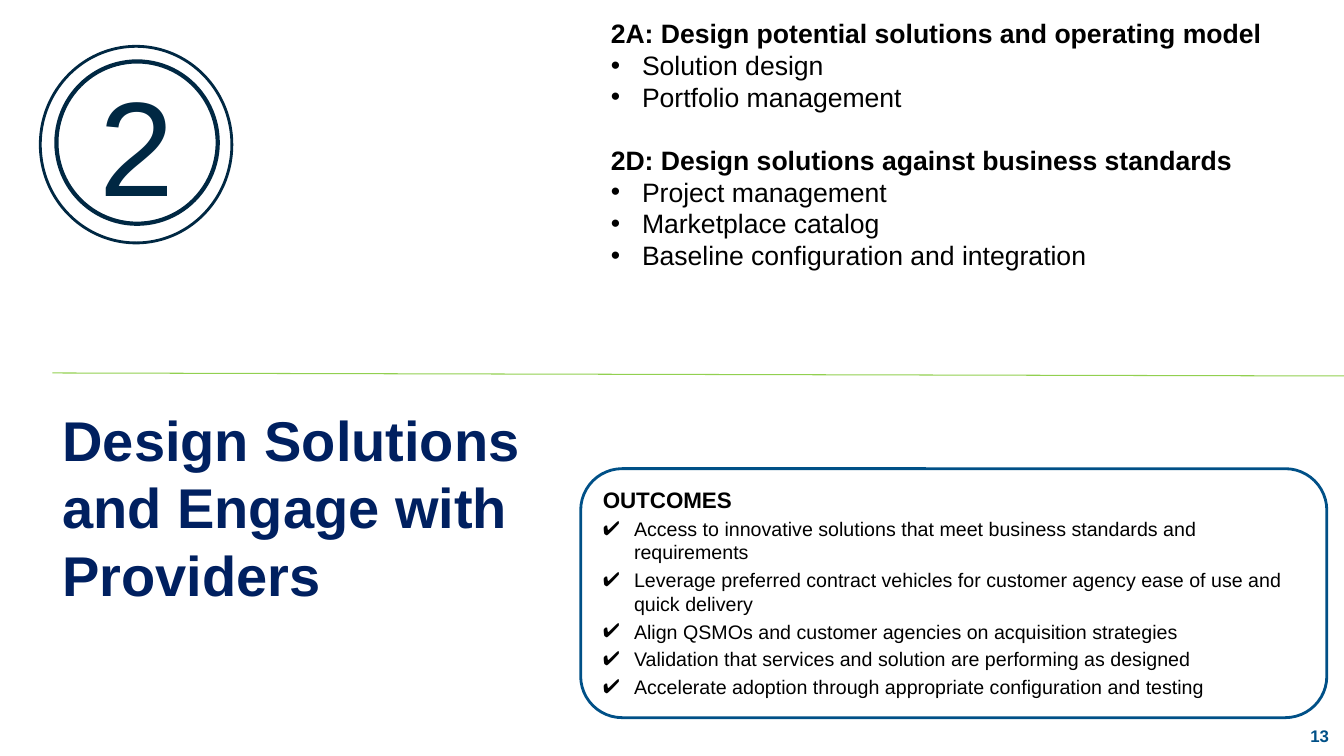
from dataclasses import dataclass

from lxml import etree
from pptx import Presentation
from pptx.dml.color import RGBColor
from pptx.enum.shapes import MSO_CONNECTOR, MSO_SHAPE
from pptx.enum.text import MSO_ANCHOR, MSO_AUTO_SIZE, PP_ALIGN
from pptx.oxml.ns import qn
from pptx.util import Pt

OVAL, ROUNDED = MSO_SHAPE.OVAL, MSO_SHAPE.ROUNDED_RECTANGLE
STRAIGHT = MSO_CONNECTOR.STRAIGHT
TOP, MIDDLE, BOTTOM = MSO_ANCHOR.TOP, MSO_ANCHOR.MIDDLE, MSO_ANCHOR.BOTTOM
LEFT, CENTER, RIGHT = PP_ALIGN.LEFT, PP_ALIGN.CENTER, PP_ALIGN.RIGHT
NO_FIT = MSO_AUTO_SIZE.NONE
EMU_PER_PX = 9144
TITLE_ONLY = 5


@dataclass(frozen=True)
class Theme:
    """Colours, font and type sizes of the slide."""
    font: str = "Arial"
    ink: str = "000000"
    paper: str = "FFFFFF"
    ring: str = "002843"
    title: str = "002060"
    accent: str = "005087"
    rule: str = "92D050"
    numeral_size: int = 96
    title_size: int = 40
    topic_size: int = 19
    heading_size: int = 16
    outcome_size: int = 14
    page_size: int = 12


ACTIVITIES = [
    ("2A: Design potential solutions and operating model",
     ["Solution design", "Portfolio management"]),
    ("2D: Design solutions against business standards",
     ["Project management", "Marketplace catalog",
      "Baseline configuration and integration"]),
]
OUTCOMES = [
    "Access to innovative solutions that meet business standards and requirements",
    "Leverage preferred contract vehicles for customer agency ease of use and quick delivery",
    "Align QSMOs and customer agencies on acquisition strategies",
    "Validation that services and solution are performing as designed",
    "Accelerate adoption through appropriate configuration and testing",
]


def px(length):
    """Turn px into EMU."""
    return length * EMU_PER_PX


def add_bullet(para, mark, color, indent=31):
    """Give a paragraph a hanging bullet."""
    properties = para._p.get_or_add_pPr()
    properties.set("marL", str(px(indent)))
    properties.set("indent", str(-px(indent)))
    tint = etree.SubElement(properties, qn("a:buClr"))
    etree.SubElement(tint, qn("a:srgbClr"), val=color)
    etree.SubElement(properties, qn("a:buFont"), typeface="Arial")
    etree.SubElement(properties, qn("a:buChar"), char=mark)


def write(frame, text, *, size, color, font, bold=False, align=LEFT,
          before=0, bullet=None):
    """Write one paragraph, filling the first one while it is empty."""
    first = frame.paragraphs[0]
    para = frame.add_paragraph() if first.runs else first
    para.alignment = align
    para.space_before = Pt(before)
    if bullet:
        add_bullet(para, bullet, color)
    span = para.add_run()
    span.text = text
    span.font.name = font
    span.font.size = Pt(size)
    span.font.bold = bold
    span.font.color.rgb = RGBColor.from_string(color)


class Page:
    """The current slide and its style."""

    def __init__(self, deck, theme):
        """Add a title-only slide to the deck."""
        self.theme = theme
        self.slide = deck.slides.add_slide(deck.slide_layouts[TITLE_ONLY])
        self.shapes = self.slide.shapes

    def frame(self, box, anchor, inset):
        """Prepare the text frame of a box."""
        frame = box.text_frame
        frame.word_wrap = True
        frame.auto_size = NO_FIT
        frame.vertical_anchor = anchor
        frame.margin_left = frame.margin_right = px(10)
        frame.margin_top = frame.margin_bottom = px(inset)
        return frame

    def title(self, text, left, top, width, height):
        """Place and fill the title."""
        box = self.shapes.title
        box.left, box.top, box.width, box.height = map(px, (left, top, width, height))
        write(self.frame(box, MIDDLE, 10), text, size=self.theme.title_size,
              color=self.theme.title, font=self.theme.font, bold=True)

    def text(self, left, top, width, height, anchor=TOP, inset=5):
        """Add a text box and return its frame."""
        box = self.shapes.add_textbox(*map(px, (left, top, width, height)))
        return self.frame(box, anchor, inset)

    def outline(self, kind, left, top, width, height, *, color, weight,
                fill=None, anchor=TOP):
        """Add an outlined shape and return its frame."""
        box = self.shapes.add_shape(kind, *map(px, (left, top, width, height)))
        box.shadow.inherit = False
        if fill:
            box.fill.solid()
            box.fill.fore_color.rgb = RGBColor.from_string(fill)
        else:
            box.fill.background()
        box.line.color.rgb = RGBColor.from_string(color)
        box.line.width = Pt(weight)
        return self.frame(box, anchor, 5)

    def rule(self, left, top, right, bottom, *, color, weight):
        """Add a straight line."""
        line = self.shapes.add_connector(STRAIGHT, *map(px, (left, top, right, bottom)))
        line.line.color.rgb = RGBColor.from_string(color)
        line.line.width = Pt(weight)
        etree.SubElement(line._element.spPr, qn("a:effectLst"))


def main():
    """Build the slide and save it."""
    theme = Theme()
    deck = Presentation()
    deck.slide_width, deck.slide_height = px(1333), px(750)
    page = Page(deck, theme)

    page.rule(52, 370, 1333, 373, color=theme.rule, weight=0.75)
    numeral = page.outline(OVAL, 56, 61, 160, 161, color=theme.ring, weight=3,
                           anchor=MIDDLE)
    write(numeral, "2", size=theme.numeral_size, color=theme.ring,
          font=theme.font, align=CENTER)
    page.outline(OVAL, 40, 46, 190, 195, color=theme.ring, weight=2)
    page.title("Design Solutions and Engage with Providers", 52, 325, 498, 355)

    number = page.text(1248, 693, 80, 57, anchor=BOTTOM, inset=10)
    write(number, "13", size=theme.page_size, color=theme.accent,
          font=theme.font, bold=True, align=RIGHT)

    body = {"color": theme.ink, "font": theme.font}
    activities = page.text(596, 12, 700, 362)
    for index, (heading, topics) in enumerate(ACTIVITIES):
        write(activities, heading, size=theme.topic_size, bold=True,
              before=22 * index, **body)
        for topic in topics:
            write(activities, topic, size=theme.topic_size, bullet="•", **body)

    outcomes = page.outline(ROUNDED, 576, 465, 740, 247, color=theme.accent,
                            weight=2, fill=theme.paper)
    write(outcomes, "OUTCOMES", size=theme.heading_size, bold=True, **body)
    for outcome in OUTCOMES:
        write(outcomes, outcome, size=theme.outcome_size, before=3, bullet="✔", **body)

    deck.save("out.pptx")


if __name__ == "__main__":
    main()
